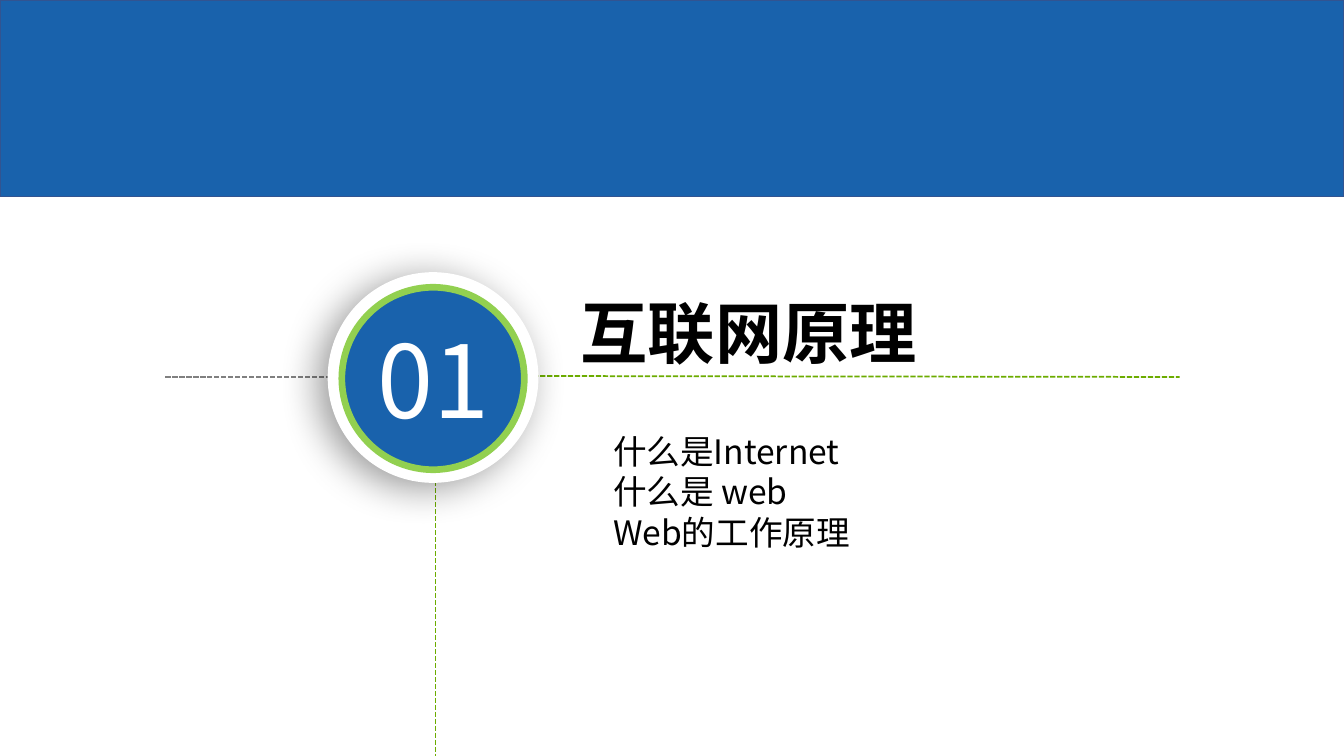
from dataclasses import dataclass
from lxml import etree
from pptx import Presentation
from pptx.dml.color import RGBColor
from pptx.enum.dml import MSO_LINE
from pptx.enum.shapes import MSO_CONNECTOR, MSO_SHAPE
from pptx.enum.text import MSO_ANCHOR, MSO_AUTO_SIZE, PP_ALIGN
from pptx.oxml.ns import qn
from pptx.util import Inches, Pt

RECT, OVAL = MSO_SHAPE.RECTANGLE, MSO_SHAPE.OVAL
STRAIGHT, DASH = MSO_CONNECTOR.STRAIGHT, MSO_LINE.SQUARE_DOT
MIDDLE, TOP = MSO_ANCHOR.MIDDLE, MSO_ANCHOR.TOP
LEFT, CENTER = PP_ALIGN.LEFT, PP_ALIGN.CENTER
NO_AUTOFIT = MSO_AUTO_SIZE.NONE


@dataclass(frozen=True)
class Theme:
    blue: str = "1962AC"
    navy: str = "325491"
    green: str = "6CAC00"
    lime: str = "92D050"
    gray: str = "808080"
    white: str = "FFFFFF"
    black: str = "000000"
    latin: str = "Arial"
    cjk: str = "Noto Sans CJK SC"
    digits: str = "Noto Sans CJK JP"
    number_size: int = 72
    title_size: int = 48
    list_size: int = 24
    list_leading: int = 29
    dash_width: float = 1.25


@dataclass(frozen=True)
class Guide:
    x1: float
    y1: float
    x2: float
    y2: float
    color: str


@dataclass(frozen=True)
class Panel:
    kind: int
    left: float
    top: float
    width: float
    height: float
    fill: str
    line: str = ""
    line_width: float = 0


T = Theme()
GUIDES = [
    Guide(4.32, 4.22, 4.32, 7.5, T.green),
    Guide(5.01, 3.73, 11.7, 3.74, T.green),
    Guide(1.64, 3.74, 3.61, 3.74, T.gray),
]
BANNER = Panel(RECT, 0, 0, 13.33, 1.95, T.blue, T.navy, 1)
DISC = Panel(OVAL, 3.25, 2.7, 2.09, 2.09, T.white)
BADGE = Panel(OVAL, 3.39, 2.85, 1.81, 1.81, T.blue, T.lime, 4.75)
TOPICS = ["什么是Internet", "什么是 web", "Web的工作原理"]


def rgb(color: str) -> RGBColor:
    return RGBColor.from_string(color)


def add_guide(s, guide: Guide) -> None:
    ends = [Inches(v) for v in (guide.x1, guide.y1, guide.x2, guide.y2)]
    line = s.shapes.add_connector(STRAIGHT, *ends)
    line.line.color.rgb = rgb(guide.color)
    line.line.width = Pt(T.dash_width)
    line.line.dash_style = DASH
    etree.SubElement(line._element.spPr, qn("a:effectLst"))


def add_panel(s, panel: Panel):
    box = [Inches(v) for v in (panel.left, panel.top, panel.width, panel.height)]
    sp = s.shapes.add_shape(panel.kind, *box)
    sp.shadow.inherit = False
    sp.fill.solid()
    sp.fill.fore_color.rgb = rgb(panel.fill)
    if panel.line:
        sp.line.color.rgb = rgb(panel.line)
        sp.line.width = Pt(panel.line_width)
    else:
        sp.line.fill.background()
    return sp


def add_shadow(sp, alpha: int, blur: int, dist: int, angle: int) -> None:
    effects = sp._element.spPr.find(qn("a:effectLst"))
    shadow = etree.SubElement(
        effects, qn("a:outerShdw"), blurRad=str(Pt(blur)), dist=str(Pt(dist)),
        dir=str(angle * 60000), algn="ctr", rotWithShape="0")
    color = etree.SubElement(shadow, qn("a:srgbClr"), val=T.black)
    etree.SubElement(color, qn("a:alpha"), val=str(alpha * 1000))


def add_run(p, text: str, size: int, color: str, latin: str, cjk: str,
            bold: bool = False) -> None:
    r = p.add_run()
    r.text = text
    r.font.size = Pt(size)
    r.font.bold = bold
    r.font.color.rgb = rgb(color)
    r.font.name = latin
    etree.SubElement(r._r.get_or_add_rPr(), qn("a:ea"), typeface=cjk)


def place(sp, left: float, top: float, width: float, height: float, anchor):
    sp.left, sp.top = Inches(left), Inches(top)
    sp.width, sp.height = Inches(width), Inches(height)
    tf = sp.text_frame
    tf.word_wrap = True
    tf.auto_size = NO_AUTOFIT
    tf.vertical_anchor = anchor
    return tf


prs = Presentation()
prs.slide_width, prs.slide_height = Inches(13.33), Inches(7.5)
s = prs.slides.add_slide(prs.slide_layouts[1])

# Dashed guides and banner
for guide in GUIDES:
    add_guide(s, guide)
add_panel(s, BANNER)

# Section number
add_shadow(add_panel(s, DISC), alpha=40, blur=28, dist=8, angle=150)
tf = add_panel(s, BADGE).text_frame
tf.margin_left = tf.margin_right = tf.margin_top = tf.margin_bottom = 0
tf.vertical_anchor = MIDDLE
p = tf.paragraphs[0]
p.alignment = CENTER
add_run(p, "01", T.number_size, T.white, T.digits, T.digits)

# Section title
tf = place(s.shapes.title, 5.66, 2.94, 5.39, 0.7, MIDDLE)
p = tf.paragraphs[0]
p.alignment = LEFT
add_run(p, "互联网原理", T.title_size, T.black, T.latin, T.cjk, bold=True)

# Topic list
tf = place(s.placeholders[1], 5.98, 4.22, 6.01, 1.31, TOP)
for i, topic in enumerate(TOPICS):
    p = tf.add_paragraph() if i else tf.paragraphs[0]
    p.space_before = Pt(0)
    p.line_spacing = Pt(T.list_leading)
    pPr = p._p.get_or_add_pPr()
    pPr.set("marL", "0")
    pPr.set("indent", "0")
    etree.SubElement(pPr, qn("a:buNone"))
    add_run(p, topic, T.list_size, T.black, T.cjk, T.cjk)

prs.save("out.pptx")
